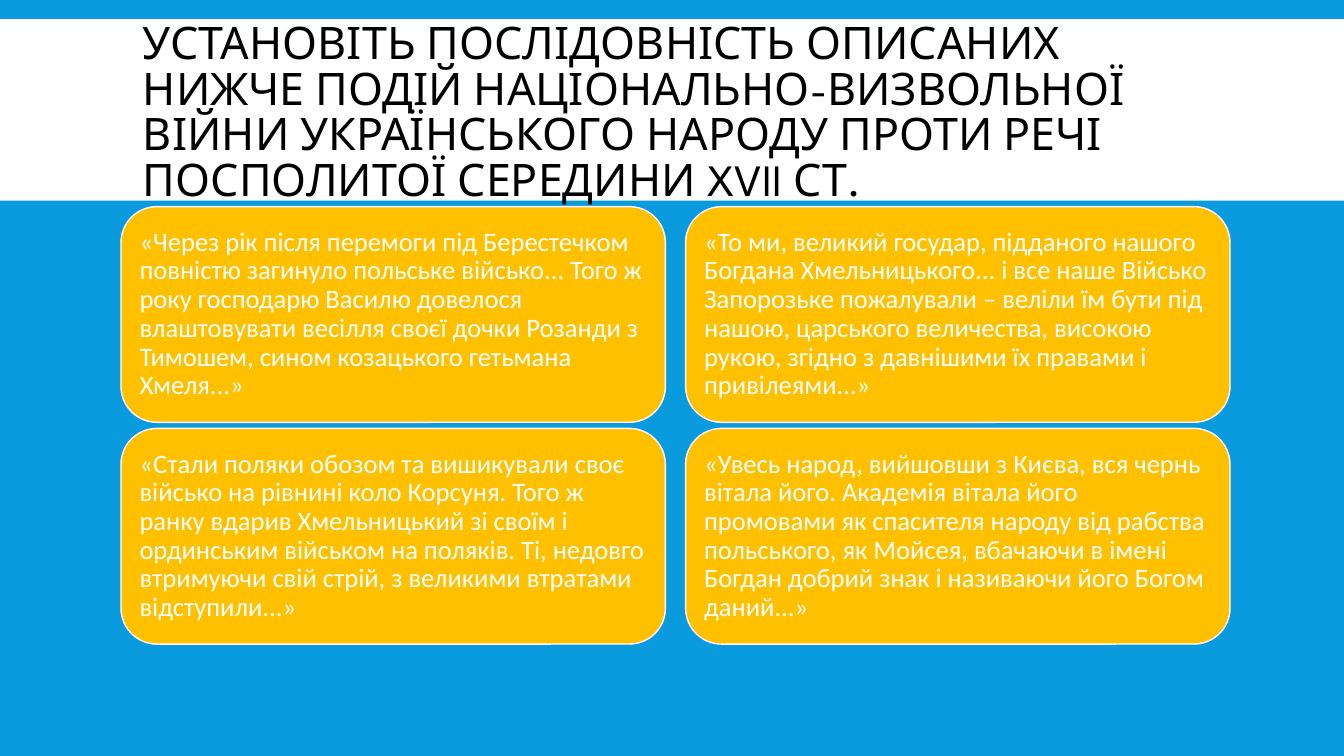
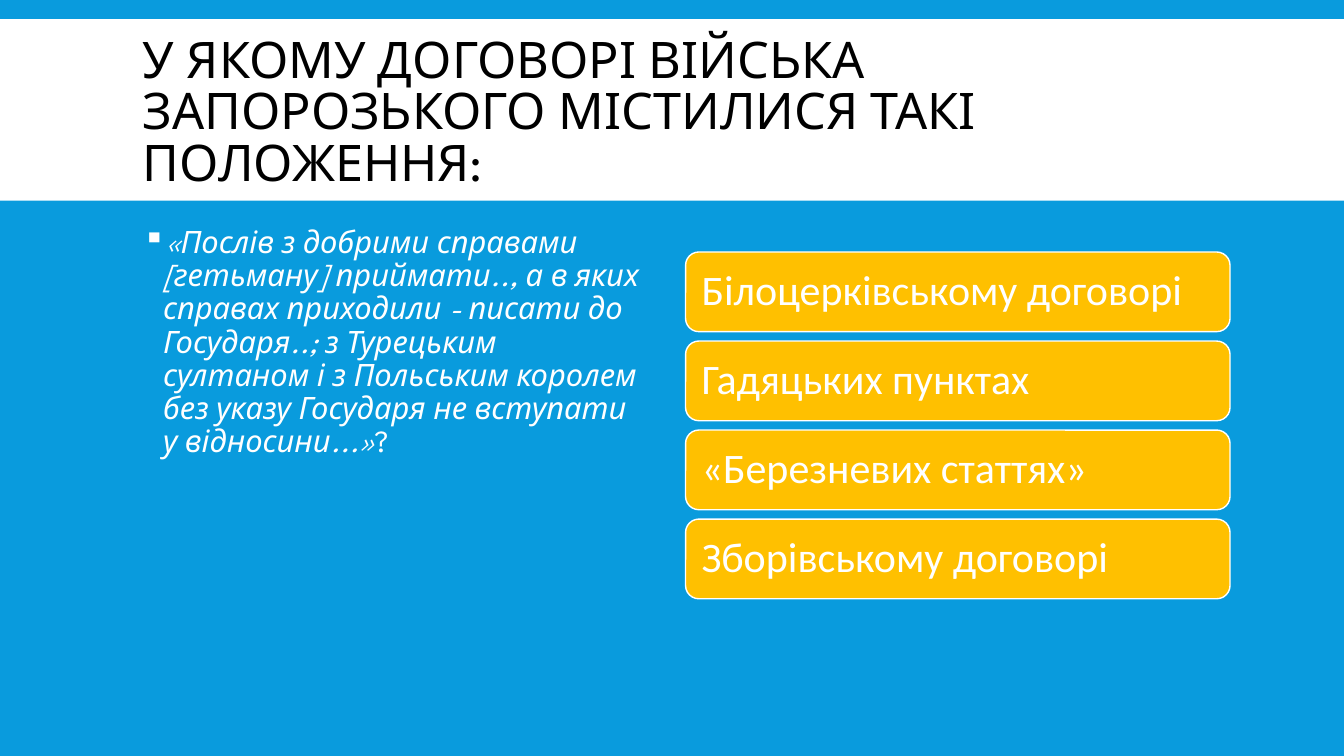
from dataclasses import dataclass

from lxml import etree
from pptx import Presentation
from pptx import util as u
from pptx.dml import color
from pptx.enum import shapes, text
from pptx.oxml import ns


@dataclass(frozen=True)
class Theme:
    background: str = "099BDD"
    white: str = "FFFFFF"
    black: str = "000000"
    card: str = "FFC000"
    display_font: str = "League Spartan"
    card_font: str = "Calibri"
    long_title_size: int = 32
    title_size: int = 36
    quote_size: int = 22
    event_size: int = 19
    answer_size: int = 30


theme = Theme()


def add_panel(slide, left, top, width, height, fill, preset=shapes.MSO_SHAPE.RECTANGLE, outline=None):
    shape = slide.shapes.add_shape(
        preset, u.Inches(left), u.Inches(top), u.Inches(width), u.Inches(height))
    shape.shadow.inherit = False
    shape.fill.solid()
    shape.fill.fore_color.rgb = color.RGBColor.from_string(fill)
    if outline:
        shape.line.color.rgb = color.RGBColor.from_string(outline)
        shape.line.width = u.Pt(1)
    else:
        shape.line.fill.background()
    return shape


def write_text(shape, words, *, size, font, ink=theme.white, spacing=0.9, inset=None,
               anchor=text.MSO_ANCHOR.MIDDLE, italic=False, upright_tail="", bullet=None):
    frame = shape.text_frame
    frame.word_wrap = True
    frame.vertical_anchor = anchor
    if inset is not None:
        frame.margin_left = frame.margin_right = u.Inches(inset)
        frame.margin_top = frame.margin_bottom = u.Inches(inset)
    paragraph = frame.paragraphs[0]
    paragraph.alignment = text.PP_ALIGN.LEFT
    paragraph.line_spacing = spacing
    if bullet:
        properties = paragraph._p.get_or_add_pPr()
        properties.set("marL", str(u.Inches(0.2)))
        properties.set("indent", str(u.Inches(-0.2)))
        bullet_color = etree.SubElement(properties, ns.qn("a:buClr"))
        etree.SubElement(bullet_color, ns.qn("a:srgbClr"), val=ink)
        etree.SubElement(properties, ns.qn("a:buChar"), char=bullet)
    for part, slanted in ((words, italic), (upright_tail, False)):
        if part:
            run = paragraph.add_run()
            run.text = part
            run.font.size = u.Pt(size)
            run.font.name = font
            run.font.italic = slanted
            run.font.color.rgb = color.RGBColor.from_string(ink)


presentation = Presentation()
presentation.slide_width = u.Inches(13.33)
presentation.slide_height = u.Inches(7.5)
master_fill = presentation.slide_master.background.fill
master_fill.solid()
master_fill.fore_color.rgb = color.RGBColor.from_string(theme.background)

titles = [
    ("УСТАНОВІТЬ ПОСЛІДОВНІСТЬ ОПИСАНИХ НИЖЧЕ ПОДІЙ НАЦІОНАЛЬНО-ВИЗВОЛЬНОЇ ВІЙНИ "
     "УКРАЇНСЬКОГО НАРОДУ ПРОТИ РЕЧІ ПОСПОЛИТОЇ СЕРЕДИНИ XVII СТ.", theme.long_title_size),
    ("У ЯКОМУ ДОГОВОРІ ВІЙСЬКА ЗАПОРОЗЬКОГО МІСТИЛИСЯ ТАКІ ПОЛОЖЕННЯ:", theme.title_size),
]
for title, title_size in titles:
    slide = presentation.slides.add_slide(presentation.slide_layouts[6])
    add_panel(slide, 0, 0.19, 13.33, 1.8, theme.white)
    title_box = slide.shapes.add_textbox(
        u.Inches(1.32), u.Inches(0.31), u.Inches(10.7), u.Inches(1.65))
    write_text(title_box, title, size=title_size, font=theme.display_font,
               ink=theme.black, spacing=0.85)

events_slide, treaty_slide = presentation.slides
left_column, right_column, card_width = 1.2, 6.8, 5.4

events = [
    "«Через рік після перемоги під Берестечком повністю загинуло польське військо... "
    "Того ж року господарю Василю довелося влаштовувати весілля своєї дочки Розанди "
    "з Тимошем, сином козацького гетьмана Хмеля...»",
    "«То ми, великий государ, підданого нашого Богдана Хмельницького... і все наше "
    "Військо Запорозьке пожалували – веліли їм бути під нашою, царського величества, "
    "високою рукою, згідно з давнішими їх правами і привілеями...»",
    "«Стали поляки обозом та вишикували своє військо на рівнині коло Корсуня. Того ж "
    "ранку вдарив Хмельницький зі своїм і ординським військом на поляків. Ті, недовго "
    "втримуючи свій стрій, з великими втратами відступили...»",
    "«Увесь народ, вийшовши з Києва, вся чернь вітала його. Академія вітала його "
    "промовами як спасителя народу від рабства польського, як Мойсея, вбачаючи в імені "
    "Богдан добрий знак і називаючи його Богом даний...»",
]
for index, event in enumerate(events):
    row, column = divmod(index, 2)
    card = add_panel(events_slide, (left_column, right_column)[column], 2.05 + row * 2.2,
                     card_width, 2.14, theme.card, shapes.MSO_SHAPE.ROUNDED_RECTANGLE, theme.white)
    write_text(card, event, size=theme.event_size, font=theme.card_font, inset=0.08)

quote_box = treaty_slide.shapes.add_textbox(
    u.Inches(1.32), u.Inches(2.2), u.Inches(5.2), u.Inches(4.6))
write_text(
    quote_box,
    "«Послів з добрими справами [гетьману] приймати.., а в яких справах приходили - "
    "писати до Государя..; з Турецьким султаном і з Польським королем без указу "
    "Государя не вступати у відносини...»",
    size=theme.quote_size, font=theme.display_font, anchor=text.MSO_ANCHOR.TOP,
    italic=True, upright_tail="?", bullet="▪")

answers = [
    "Білоцерківському договорі",
    "Гадяцьких пунктах",
    "«Березневих статтях»",
    "Зборівському договорі",
]
answer_step = (5.15 - 2.5) / (len(answers) - 1)
for row, answer in enumerate(answers):
    card = add_panel(treaty_slide, right_column, 2.5 + row * answer_step, card_width, 0.79,
                     theme.card, shapes.MSO_SHAPE.ROUNDED_RECTANGLE, theme.white)
    write_text(card, answer, size=theme.answer_size, font=theme.card_font, inset=0.12)

presentation.save("out.pptx")
